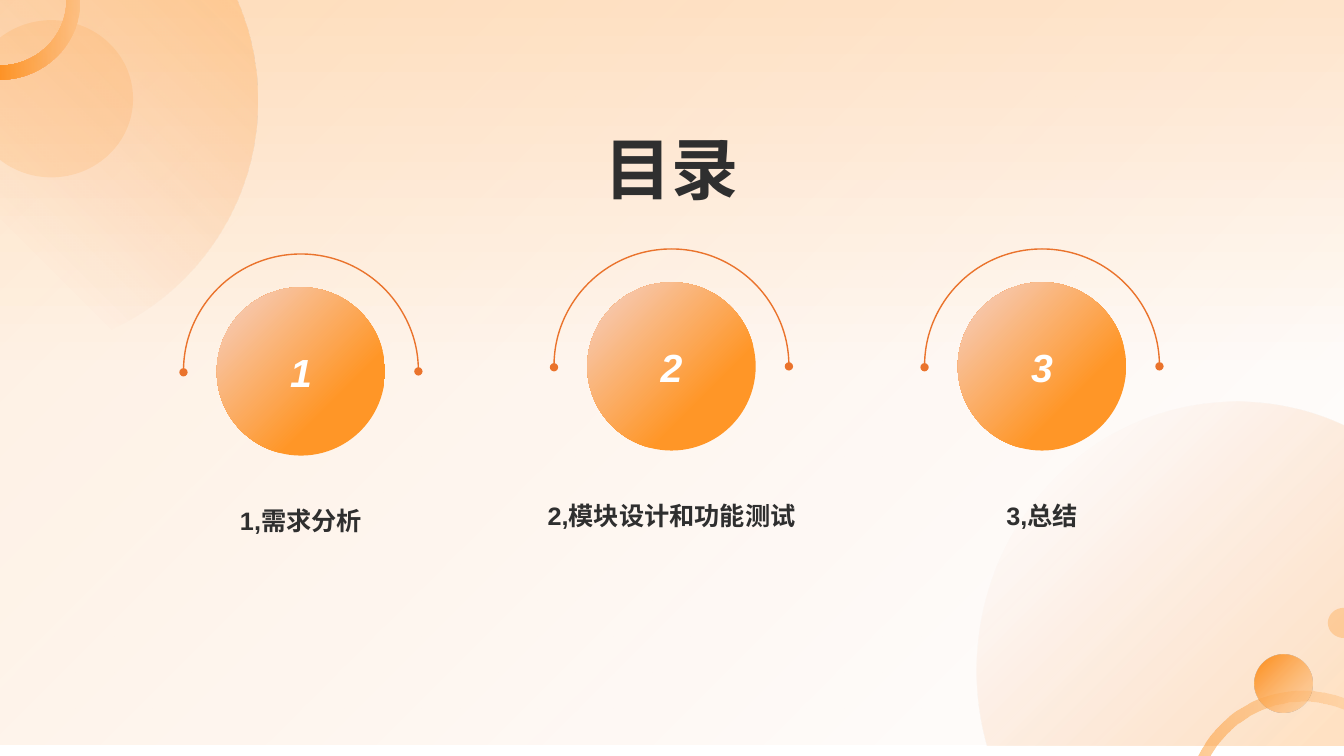
from math import ceil, cos, floor, radians, sin, tan

from lxml import etree
from pptx import Presentation
from pptx import util as u
from pptx.dml.color import RGBColor
from pptx.enum import shapes, text
from pptx.oxml.ns import qn

UNIT = u.Inches(1)  # one column or row of the grid
COLS, ROWS = 13.33, 7.5
LIFT = -0.11  # offset of the tinted layer
HUES = {
    "cream": "FFEAD4", "white": "FFFFFF", "peach": "FFD5A9", "orange": "FF9627",
    "rust": "EA732C", "blush": "F7C7AB", "ink": "2F2F2F",
}
TITLE = {"size": u.Pt(48), "name": "Arial", "bold": True}
LABEL = {"size": u.Pt(18), "name": "Arial", "bold": True}
DIGIT = {"size": u.Pt(28), "name": "Arial", "bold": True, "italic": True}
TOPICS = ["1,需求分析", "2,模块设计和功能测试", "3,总结"]
OVAL, RECT, ARC = (shapes.MSO_SHAPE.OVAL, shapes.MSO_SHAPE.RECTANGLE,
                   shapes.MSO_SHAPE.ARC)


def rgb(hue):
    return RGBColor.from_string(HUES[hue])


def grid(*cells):
    return [round(cell * UNIT) for cell in cells]


def dye(parent, hue, alpha):
    tone = etree.SubElement(parent, qn("a:srgbClr"), val=HUES[hue])
    if alpha < 100:
        etree.SubElement(tone, qn("a:alpha"), val=str(alpha * 1000))


def fade(owner, root, stops, angle=0, focus=None):
    """Fill with (position, hue, opacity) stops; a single stop is a flat fill."""
    owner.fill.background()
    blank = root.xpath(".//a:noFill")[0]
    if len(stops) == 1:
        fill = etree.Element(qn("a:solidFill"))
        dye(fill, *stops[0][1:])
    else:
        fill = etree.Element(qn("a:gradFill"), rotWithShape="1")
        stack = etree.SubElement(fill, qn("a:gsLst"))
        for place, hue, alpha in stops:
            stop = etree.SubElement(stack, qn("a:gs"), pos=str(place * 1000))
            dye(stop, hue, alpha)
        if focus:
            ring = etree.SubElement(fill, qn("a:path"), path="circle")
            sides = {side: str(part * 1000) for side, part in zip("ltrb", focus)}
            etree.SubElement(ring, qn("a:fillToRect"), **sides)
        else:
            etree.SubElement(fill, qn("a:lin"), ang=str(angle * 60000), scaled="0")
    blank.getparent().replace(blank, fill)


def tint(shape, stops, **way):
    shape.shadow.inherit = False
    fade(shape, shape._element, stops, **way)
    shape.line.fill.background()
    return shape


def curve(cx, cy, rx, ry, start, end):
    """Start point, then one Bezier step per quadrant, in degrees clockwise."""
    low, high = sorted((start, end))
    turns = [low] + [q * 90 for q in range(floor(low / 90) + 1, ceil(high / 90))]
    turns = sorted(turns + [high], reverse=start > end)

    def spot(turn, pull=0):
        t = radians(turn)
        return (cx + rx * (cos(t) - pull * sin(t)),
                cy + ry * (sin(t) + pull * cos(t)))

    steps = [[spot(start)]]
    for a, b in zip(turns, turns[1:]):
        pull = 4 / 3 * tan(radians(b - a) / 4)
        steps.append([spot(a, pull), spot(b, -pull), spot(b)])
    return steps


def outline(slide, steps, stops, **way):
    """Closed shape from steps of one point (line) or three (Bezier)."""
    spots = [grid(*point) for step in steps for point in step]
    pen = slide.shapes.build_freeform(*spots[0], scale=1)
    pen.add_line_segments(spots[1:], close=True)
    shape = pen.convert_to_shape()
    lines = iter(shape._element.xpath(".//a:lnTo"))
    for step in steps[1:]:
        first, *rest = [next(lines) for point in step]
        if rest:
            bend = etree.Element(qn("a:cubicBezTo"))
            first.addprevious(bend)
            for line in (first, *rest):
                bend.append(line[0])
                line.getparent().remove(line)
    return tint(shape, stops, **way)


def disc(slide, kind, box, stops, angle):
    return tint(slide.shapes.add_shape(kind, *grid(*box)), stops, angle=angle)


def write(shape, words, style, hue, anchor, wrap=True):
    frame = shape.text_frame
    frame.word_wrap, frame.vertical_anchor = wrap, anchor
    para = frame.paragraphs[0]
    para.alignment = text.PP_ALIGN.CENTER
    run = para.add_run()
    run.text = words
    for key, value in style.items():
        setattr(run.font, key, value)
    run.font.color.rgb = rgb(hue)


def caption(slide, box, words, style, anchor):
    write(slide.shapes.add_textbox(*grid(*box)), words, style, "ink", anchor)


def arch(slide, box):
    """Half circle with a dot at each end."""
    shape = slide.shapes.add_shape(ARC, *grid(*box))
    shape.shadow.inherit = False
    shape.adjustments[0], shape.adjustments[1] = 107.74, 0
    shape.fill.background()
    shape.line.color.rgb, shape.line.width = rgb("rust"), u.Pt(1)
    for end in ("a:headEnd", "a:tailEnd"):
        etree.SubElement(shape.line._ln, qn(end), type="oval")


def topic(slide, index, words):
    mid = 2.985 + 3.675 * index
    top = 2.52 if index == 0 else 2.47
    arch(slide, (mid - 1.165, top, 2.33, 2.33))
    ball = disc(slide, OVAL, (mid - 0.835, top + 0.33, 1.67, 1.67),
                [(31, "orange", 100), (88, "blush", 100)], 225)
    write(ball, str(index + 1), DIGIT, "white", text.MSO_ANCHOR.MIDDLE, False)
    caption(slide, (mid - 1.685, top + 2.44, 3.37, 1.68), words, LABEL,
            text.MSO_ANCHOR.TOP)


def corners(slide):
    """Small circles and rings cut by the slide's edges."""
    outline(slide, curve(0.51, 0.98, 0.81, 0.78, -129, 129), [(0, "orange", 15)])
    outline(slide, curve(0, 0, 0.8, 0.79, 0, 90) + curve(0, 0, 0.66, 0.65, 90, 0),
            [(0, "peach", 100), (100, "orange", 100)], angle=180)
    outline(slide, curve(12.92, 8.01, 1.16, 1.16, -154, -69.2)
            + curve(12.92, 8.01, 1.05, 1.05, -67, -151),
            [(0, "peach", 49), (100, "orange", 50)], angle=180)
    outline(slide, curve(COLS, 6.18, 0.16, 0.15, 90, 270), [(0, "orange", 30)])
    disc(slide, OVAL, (12.44, 6.49, 0.58, 0.58),
         [(1, "peach", 50), (91, "orange", 100)], 225)


def glow(slide):
    """Tinted layer with two large circles."""
    disc(slide, RECT, (0, LIFT, COLS, ROWS),
         [(0, "rust", 0), (100, "orange", 15)], 225)
    stops = [(6, "orange", 27), (79, "rust", 0)]
    outline(slide, [[(0, LIFT)]] + curve(0.05, 1, 2.5, 2.5, -26.4, 90)
            + [[(0, 3.5)]], stops, focus=(100, 0, 0, 100))
    outline(slide, curve(12.26, 6.64, 2.57, 2.66, -196.4, -65.4)
            + [[(COLS, ROWS + LIFT)]], stops, focus=(100, 100, 0, 0))


def main():
    deck = Presentation()
    deck.slide_width, deck.slide_height = grid(COLS, ROWS)
    slide = deck.slides.add_slide(deck.slide_layouts[6])
    fade(slide.background, slide._element,
         [(0, "cream", 100), (50, "white", 100)], angle=90)
    corners(slide)
    glow(slide)
    caption(slide, (0.72, 1.12, 11.88, 1.08), "目录", TITLE, text.MSO_ANCHOR.MIDDLE)
    for index, words in enumerate(TOPICS):
        topic(slide, index, words)
    deck.save("out.pptx")


if __name__ == "__main__":
    main()
